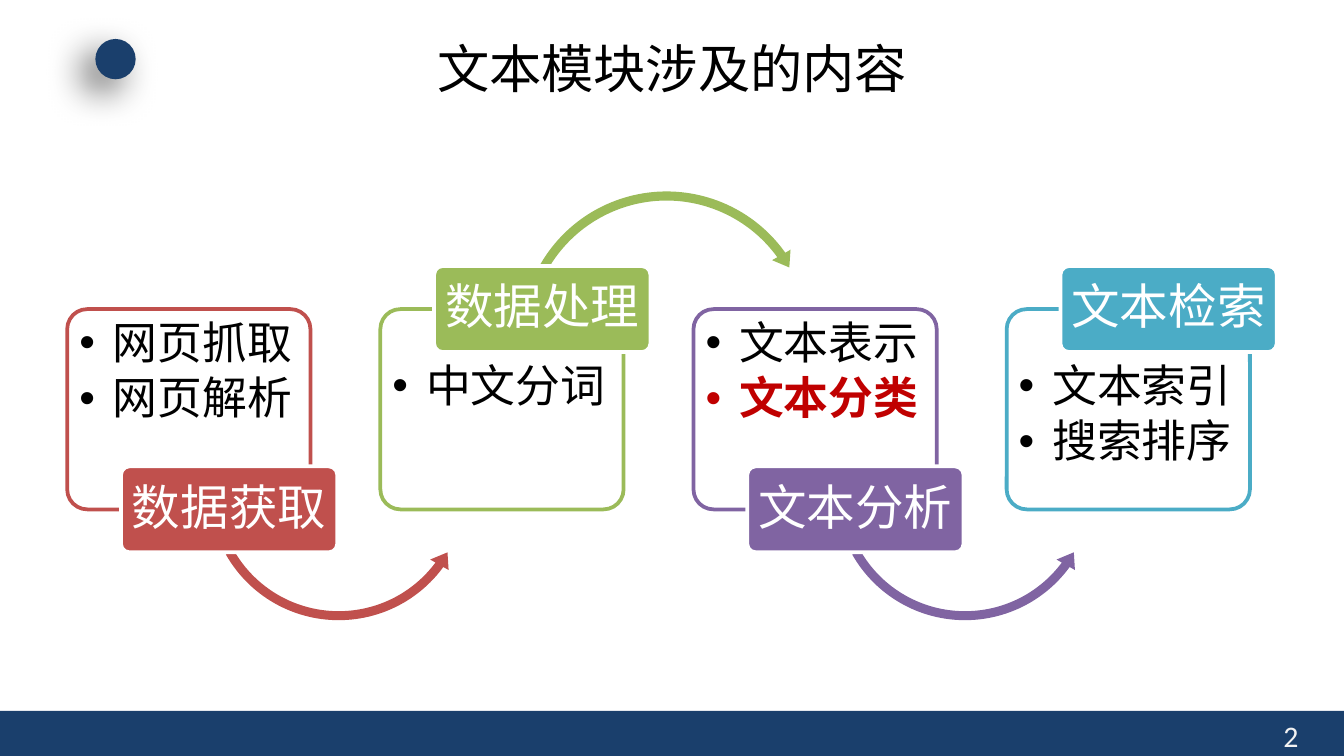
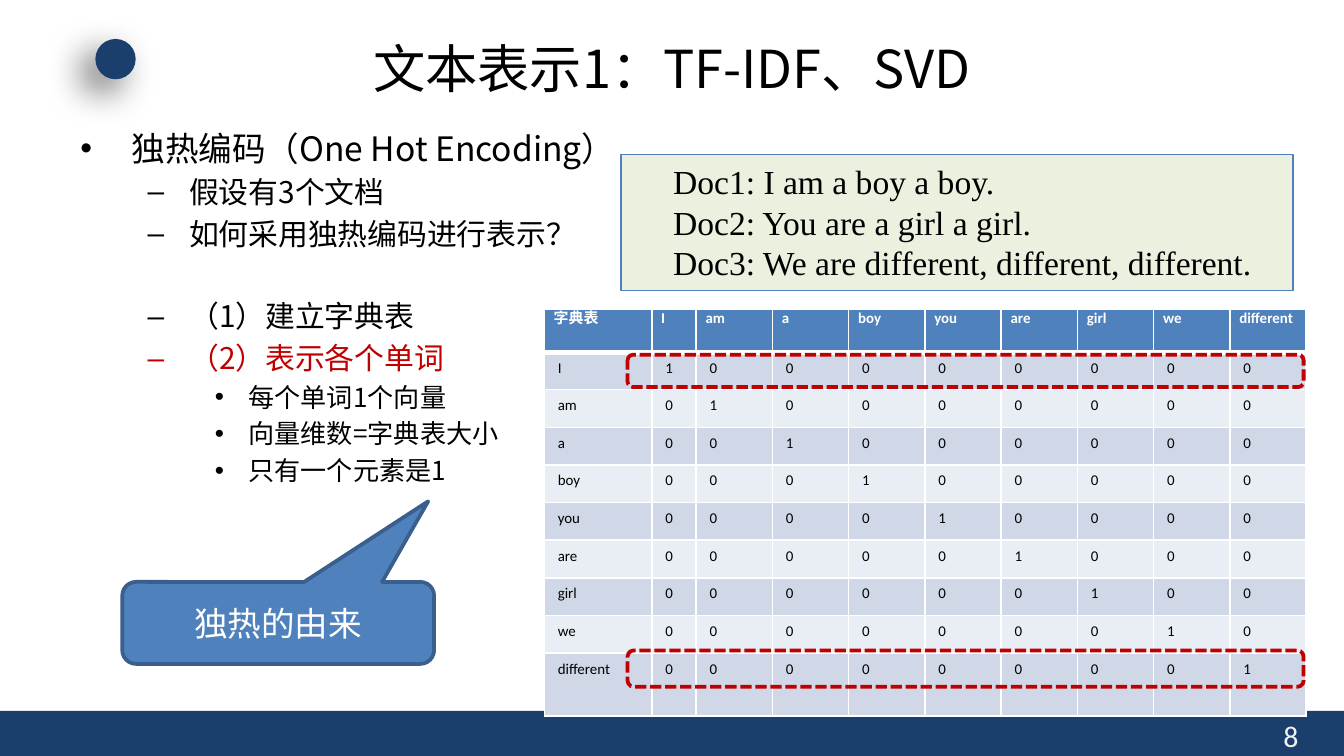
"""Build two slides on text processing: the module overview and one-hot encoding."""
from lxml import etree
from pptx import Presentation
from pptx.dml.color import RGBColor
from pptx.enum import dml, shapes, text
from pptx.oxml import ns
from pptx.util import Inches, Pt

SHAPE = shapes.MSO_SHAPE
ALIGN = text.PP_ALIGN
ANCHOR = text.MSO_ANCHOR
CJK, LATIN, SERIF = "Noto Sans CJK SC", "Calibri", "Times New Roman"
NAVY, BLUE, RED = "1A3F6C", "4F81BD", "C00000"
BLACK, WHITE = "000000", "FFFFFF"

STAGES = [
    ("数据获取", "C0504D", ["网页抓取", "网页解析"]),
    ("数据处理", "9BBB59", ["中文分词"]),
    ("文本分析", "8064A2", ["文本表示", "文本分类"]),
    ("文本检索", "4BACC6", ["文本索引", "搜索排序"]),
]
KEY_TOPIC = "文本分类"
ARC_BELOW = (SHAPE.LEFT_CIRCULAR_ARROW, 1.01, 2.64, 2.02,
             (0.033, 4.076, 21.831, 90.245, 0.039))
ARC_ABOVE = (SHAPE.CIRCULAR_ARROW, 1.0, 1.38, 2.26,
             (0.03, 3.629, 194.616, 125.755, 0.035))

OUTLINE = [
    (0, "独热编码（One Hot Encoding）", BLACK),
    (1, "假设有3个文档", BLACK),
    (1, "如何采用独热编码进行表示？", BLACK),
    (1, "（1）建立字典表", BLACK),
    (1, "（2）表示各个单词", RED),
    (2, "每个单词1个向量", BLACK),
    (2, "向量维数=字典表大小", BLACK),
    (2, "只有一个元素是1", BLACK),
]
STEPS_START = "（1）建立字典表"
LEVELS = [(18, 0.38, 0.38, "•"), (16, 0.81, 0.31, "–"), (14, 1.25, 0.25, "•")]
DOCS = [
    "Doc1: I am a boy a boy.",
    "Doc2: You are a girl a girl.",
    "Doc3: We are different, different, different.",
]
WORDS = ["I", "am", "a", "boy", "you", "are", "girl", "we", "different"]
TABLE_WIDTH = 5.67
COLUMN_WIDTHS = [0.8, 0.33] + [(TABLE_WIDTH - 0.8 - 0.33) / 8] * 8
ROW_HEIGHTS = [0.32] + [0.28] * 8 + [0.47]


def rgb(value):
    """Turn a hex string into a colour."""
    return RGBColor.from_string(value)


def sub(parent, tag, **attributes):
    """Append a DrawingML element."""
    return etree.SubElement(parent, ns.qn("a:" + tag), attributes)


def style(paragraph, size, color, font=LATIN, bold=False, align=None):
    """Format every run of a paragraph."""
    paragraph.alignment = align
    for run in paragraph.runs:
        run.font.size, run.font.bold, run.font.name = Pt(size), bold, font
        run.font.color.rgb = rgb(color)
        properties = run._r.get_or_add_rPr()
        properties.set("lang", "zh-CN")
        sub(properties, "ea", typeface=font)


def bullet(paragraph, mark, left, hang):
    """Give a paragraph a bullet and a hanging indent."""
    properties = paragraph._p.get_or_add_pPr()
    properties.set("marL", str(Inches(left)))
    properties.set("indent", str(Inches(-hang)))
    sub(properties, "buFont", typeface="Arial")
    sub(properties, "buChar", char=mark)


def set_insets(frame, horizontal, vertical):
    """Set the inner margins of a text frame or table cell."""
    frame.margin_left = frame.margin_right = Inches(horizontal)
    frame.margin_top = frame.margin_bottom = Inches(vertical)


def add_shape(slide, kind, box, fill=None, line=None, width=2, adjust=()):
    """Add a flat preset shape."""
    shape = slide.shapes.add_shape(kind, *map(Inches, box))
    shape.shadow.inherit = False
    for index, value in enumerate(adjust):
        shape.adjustments[index] = value
    if fill:
        shape.fill.solid()
        shape.fill.fore_color.rgb = rgb(fill)
    else:
        shape.fill.background()
    if line:
        shape.line.color.rgb = rgb(line)
        shape.line.width = Pt(width)
    else:
        shape.line.fill.background()
    return shape


def add_text(slide, box, lines):
    """Add a wrapping text box and return its frame."""
    frame = slide.shapes.add_textbox(*map(Inches, box)).text_frame
    frame.word_wrap = True
    frame.text = "\n".join(lines)
    return frame


def add_slide(deck, heading, number):
    """Add a slide with the shared title, footer band and dot."""
    slide = deck.slides.add_slide(deck.slide_layouts[5])
    title = slide.shapes.title
    title.left, title.top, title.width, title.height = map(Inches, (0.5, 0.23, 9, 0.55))
    title.text_frame.text = heading
    title.text_frame.vertical_anchor = ANCHOR.MIDDLE
    style(title.text_frame.paragraphs[0], 28, BLACK, CJK, align=ALIGN.CENTER)
    add_shape(slide, SHAPE.RECTANGLE, (0, 5.29, 10, 0.34), NAVY)
    page = add_text(slide, (9.45, 5.29, 0.5, 0.3), [number])
    style(page.paragraphs[0], 16, "F2F2F2")
    dot = add_shape(slide, SHAPE.OVAL, (0.71, 0.29, 0.3, 0.3), NAVY)
    effects = dot._element.spPr.find(ns.qn("a:effectLst"))
    shadow = sub(effects, "outerShdw", blurRad=str(Pt(20)), dist=str(Pt(10)),
                 dir=str(135 * 60000), algn="ctr", rotWithShape="0")
    sub(sub(shadow, "srgbClr", val=BLACK), "alpha", val="60000")
    return slide


def add_stage(slide, index, name, color, topics):
    """Draw one stage: panel, topics, arrow to the next stage and label."""
    left = 0.5 + 2.33 * index
    label_above = index % 2 == 1
    panel = add_shape(slide, SHAPE.ROUNDED_RECTANGLE, (left, 2.3, 1.81, 1.49),
                      WHITE, color, adjust=[0.1])
    sub(panel._element.spPr.find(".//" + ns.qn("a:srgbClr")), "alpha", val="90000")
    frame = add_text(slide, (left + 0.04, 2.66 if label_above else 2.34, 1.74, 1.1), topics)
    set_insets(frame, 0.05, 0.05)
    for paragraph in frame.paragraphs:
        key = paragraph.text == KEY_TOPIC
        bullet(paragraph, "•", 0.25, 0.25)
        paragraph.line_spacing, paragraph.space_after = 0.9, Pt(3.6)
        style(paragraph, 24, RED if key else BLACK, bold=key)
    if index < len(STAGES) - 1:
        kind, shift, top, side, adjust = ARC_ABOVE if label_above else ARC_BELOW
        add_shape(slide, kind, (left + shift, top, side, side), color, adjust=adjust)
    label = add_shape(slide, SHAPE.ROUNDED_RECTANGLE,
                      (left + 0.4, 1.98 if label_above else 3.47, 1.61, 0.64),
                      color, WHITE, adjust=[0.1])
    set_insets(label.text_frame, 0.05, 0.04)
    label.text_frame.text = name
    label.text_frame.vertical_anchor = ANCHOR.MIDDLE
    label.text_frame.paragraphs[0].line_spacing = 0.9
    style(label.text_frame.paragraphs[0], 26, WHITE, align=ALIGN.CENTER)


def add_outline(slide):
    """Write the multilevel outline."""
    frame = add_text(slide, (0.5, 0.9, 9, 4.31), [line for _, line, _ in OUTLINE])
    for index, (level, line, color) in enumerate(OUTLINE):
        paragraph = frame.paragraphs[index]
        size, left, hang, mark = LEVELS[level]
        paragraph.level = level
        bullet(paragraph, mark, left, hang)
        paragraph.line_spacing = Pt(1.2 * size)
        if index:
            paragraph.space_before = Pt(25 if line == STEPS_START else 0.2 * size)
        style(paragraph, size, color, CJK)


def add_docs(slide):
    """Show the sample documents."""
    frame = add_shape(slide, SHAPE.RECTANGLE, (4.62, 1.15, 5, 1.01),
                      "EBF1DE", BLUE, 0.75).text_frame
    frame.word_wrap = True
    frame.vertical_anchor = ANCHOR.TOP
    frame.text = "\n".join(DOCS)
    for paragraph in frame.paragraphs:
        paragraph._p.get_or_add_pPr().set("indent", str(Inches(0.29)))
        style(paragraph, 18, BLACK, SERIF, align=ALIGN.JUSTIFY)


def set_borders(cell, top, bottom):
    """Draw white borders round a cell."""
    properties = cell._tc.get_or_add_tcPr()
    sides = [("lnL", 1), ("lnR", 1), ("lnT", top), ("lnB", bottom)]
    for position, (side, width) in enumerate(sides):
        border = sub(properties, side, w=str(Pt(width)))
        sub(sub(border, "solidFill"), "srgbClr", val=WHITE)
        properties.insert(position, border)


def add_vectors(slide):
    """Tabulate the one-hot vector of each word."""
    rows = [["字典表"] + WORDS]
    rows += [[word] + [str(int(word == other)) for other in WORDS] for word in WORDS]
    table = slide.shapes.add_table(
        len(rows), len(rows[0]), Inches(4.05), Inches(2.3),
        Inches(TABLE_WIDTH), Inches(sum(ROW_HEIGHTS))).table
    for column, width in zip(table.columns, COLUMN_WIDTHS):
        column.width = Inches(width)
    for row, height in zip(table.rows, ROW_HEIGHTS):
        row.height = Inches(height)
    for r, values in enumerate(rows):
        header = r == 0
        for c, value in enumerate(values):
            cell = table.cell(r, c)
            cell.text_frame.text = value
            cell.fill.solid()
            cell.fill.fore_color.rgb = rgb(BLUE if header else ("E9EDF4", "D0D8E8")[r % 2])
            set_borders(cell, 3 if r == 1 else 1, 3 if header else 1)
            if header:
                set_insets(cell, 0.07, 0)
            style(cell.text_frame.paragraphs[0], 8, WHITE if header else BLACK,
                  bold=header, align=ALIGN.JUSTIFY if header else None)


def add_callouts(slide):
    """Mark the first and last vectors and explain the name."""
    for top, height in [(2.64, 0.24), (4.84, 0.27)]:
        mark = add_shape(slide, SHAPE.ROUNDED_RECTANGLE, (4.67, top, 5.03, height), line=RED)
        mark.line.dash_style = dml.MSO_LINE.SQUARE_DOT
    origin = add_shape(slide, SHAPE.ROUNDED_RECTANGULAR_CALLOUT, (0.91, 4.33, 2.32, 0.61),
                       BLUE, "3A5F8C", adjust=[0.481, -1.484, 0.167]).text_frame
    origin.text = "独热的由来"
    origin.vertical_anchor = ANCHOR.MIDDLE
    style(origin.paragraphs[0], 18, WHITE, align=ALIGN.CENTER)


def main():
    """Build and save the deck."""
    deck = Presentation()
    deck.slide_width = Inches(10)
    deck.slide_height = deck.slide_width * 9 // 16
    overview = add_slide(deck, "文本模块涉及的内容", "2")
    for index, stage in enumerate(STAGES):
        add_stage(overview, index, *stage)
    encoding = add_slide(deck, "文本表示1：TF-IDF、SVD", "8")
    add_outline(encoding)
    add_docs(encoding)
    add_vectors(encoding)
    add_callouts(encoding)
    deck.save("out.pptx")


if __name__ == "__main__":
    main()
